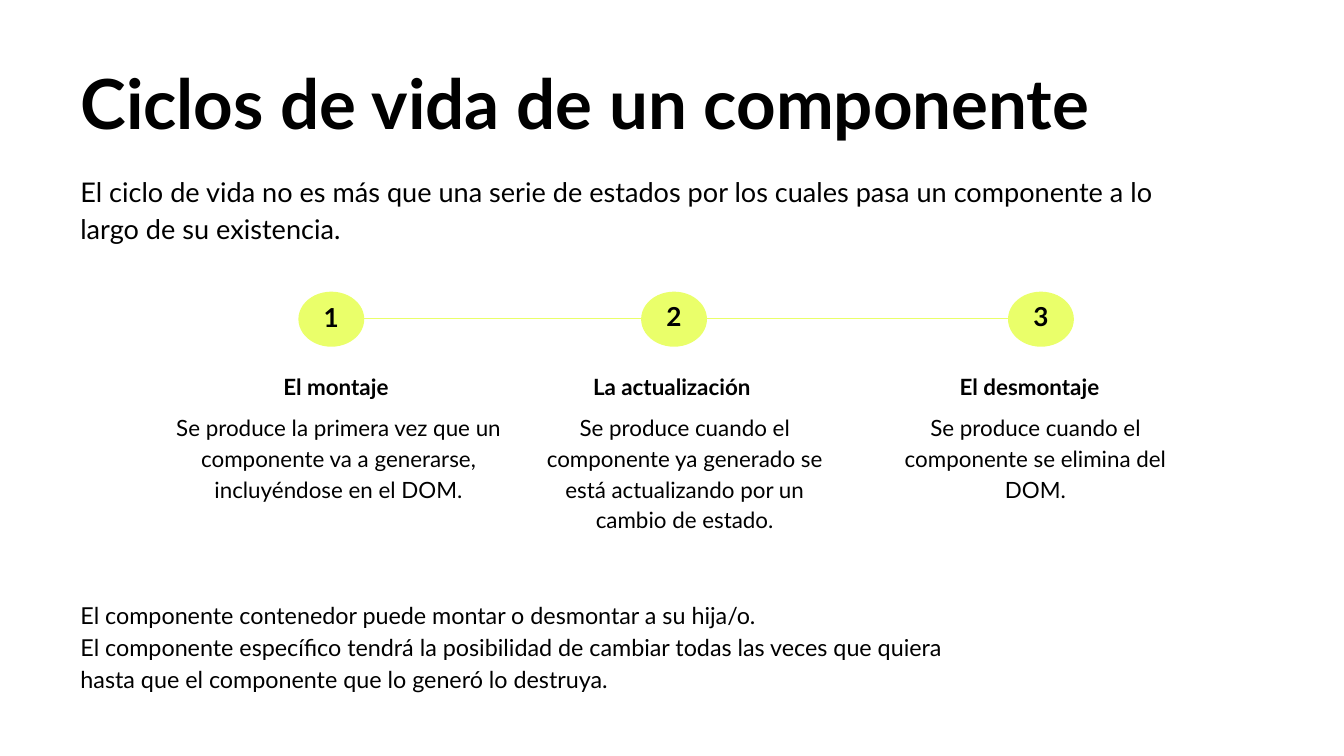
import pptx
import pptx.dml.color
import pptx.enum.shapes
import pptx.enum.text
import pptx.oxml.ns
import pptx.util
from lxml import etree

BLACK = pptx.dml.color.RGBColor(0x00, 0x00, 0x00)
LIME = pptx.dml.color.RGBColor(0xEA, 0xFF, 0x6A)
FONT = "Lato"
UNIT = pptx.util.Inches(0.1)
COLUMNS, ROWS = 100, 56.25
MARKER_WIDTH, MARKER_HEIGHT = 4.9, 4.1
NUMBER_WIDTH = 3.5
LABEL_WIDTH, LABEL_HEIGHT = 16.4, 4
LABEL_DROP, BODY_DROP = 4.8, 7.8

STEPS = [
    {"marker": 22.2, "lift": 0, "label": ("El montaje", 16.8),
     "body": ("Se produce la primera vez que un componente va a generarse, "
              "incluyéndose en el DOM.", 11.7, 27, 8.7)},
    {"marker": 47.7, "lift": 0.1, "label": ("La actualización ", 42),
     "body": ("Se produce cuando el componente ya generado se está actualizando "
              "por un cambio de estado.", 39.5, 22.9, 11)},
    {"marker": 75, "lift": 0.1, "label": ("El desmontaje", 68.4),
     "body": ("Se produce cuando el componente se elimina del DOM.",
              65.9, 22.3, 11.3)},
]


def grid(*cells):
    """Convert grid columns and rows to slide lengths."""
    return [round(cell * UNIT) for cell in cells]


def add_text(slide, box, paragraphs, size, bold=False, centered=False, spacing=1.15):
    """Place paragraphs of one style in a box given in grid cells."""
    frame = slide.shapes.add_textbox(*grid(*box)).text_frame
    frame.word_wrap = True
    frame.auto_size = pptx.enum.text.MSO_AUTO_SIZE.SHAPE_TO_FIT_TEXT
    frame.margin_left = frame.margin_right = UNIT
    frame.margin_top = frame.margin_bottom = UNIT
    for index, wording in enumerate(paragraphs):
        paragraph = frame.add_paragraph() if index else frame.paragraphs[0]
        paragraph.line_spacing = spacing
        if centered:
            paragraph.alignment = pptx.enum.text.PP_ALIGN.CENTER
        run = paragraph.add_run()
        run.text = wording
        run.font.name = FONT
        run.font.size = pptx.util.Pt(size)
        run.font.bold = bold
        run.font.color.rgb = BLACK


def add_heading(slide, left, top):
    """Place the title and the definition below it."""
    add_text(slide, (left, top, 89.9, 7.6), ["Ciclos de vida de un componente"],
             37, bold=True, spacing=0.9)
    add_text(slide, (left, top + 7.5, 84.4, 11.3),
             ["El ciclo de vida no es más que una serie de estados por los cuales "
              "pasa un componente a lo largo de su existencia."], 14.5)


def add_link(slide, start, end, row):
    """Draw the thin line between two neighbouring markers."""
    link = slide.shapes.add_connector(
        pptx.enum.shapes.MSO_CONNECTOR.STRAIGHT, *grid(start, row, end, row))
    link.line.color.rgb = LIME
    link.line.width = pptx.util.Pt(0.75)
    etree.SubElement(link._element.spPr, pptx.oxml.ns.qn("a:effectLst"))


def add_step(slide, number, step, top):
    """Place one numbered stage with its label and explanation."""
    marker = slide.shapes.add_shape(
        pptx.enum.shapes.MSO_SHAPE.OVAL,
        *grid(step["marker"], top, MARKER_WIDTH, MARKER_HEIGHT))
    marker.shadow.inherit = False
    marker.fill.solid()
    marker.fill.fore_color.rgb = LIME
    marker.line.fill.background()
    number_left = step["marker"] + (MARKER_WIDTH - NUMBER_WIDTH) / 2
    add_text(slide, (number_left, top - step["lift"], NUMBER_WIDTH, MARKER_HEIGHT),
             [str(number)], 14, bold=True, centered=True, spacing=0.9)
    label, label_left = step["label"]
    add_text(slide, (label_left, top + LABEL_DROP, LABEL_WIDTH, LABEL_HEIGHT),
             [label], 12, bold=True, centered=True)
    body, body_left, width, height = step["body"]
    add_text(slide, (body_left, top + BODY_DROP, width, height),
             [body], 12, centered=True)


def add_timeline(slide, top):
    """Place the linked stages of the life cycle."""
    for current, following in zip(STEPS, STEPS[1:]):
        add_link(slide, current["marker"] + MARKER_WIDTH, following["marker"], top + 2)
    for number, step in enumerate(STEPS, 1):
        add_step(slide, number, step, top)


def add_closing(slide, left, top):
    """Place the closing remarks."""
    add_text(slide, (left, top, 67.5, 9),
             ["El componente contenedor puede montar o desmontar a su hija/o.",
              "El componente específico tendrá la posibilidad de cambiar todas las "
              "veces que quiera hasta que el componente que lo generó lo destruya."],
             12.5)


def main():
    """Build and save the slide."""
    deck = pptx.Presentation()
    deck.slide_width, deck.slide_height = grid(COLUMNS, ROWS)
    slide = deck.slides.add_slide(deck.slide_layouts[6])
    add_heading(slide, 5, 4.2)
    add_timeline(slide, 21.7)
    add_closing(slide, 5, 43.4)
    deck.save("out.pptx")


if __name__ == "__main__":
    main()
